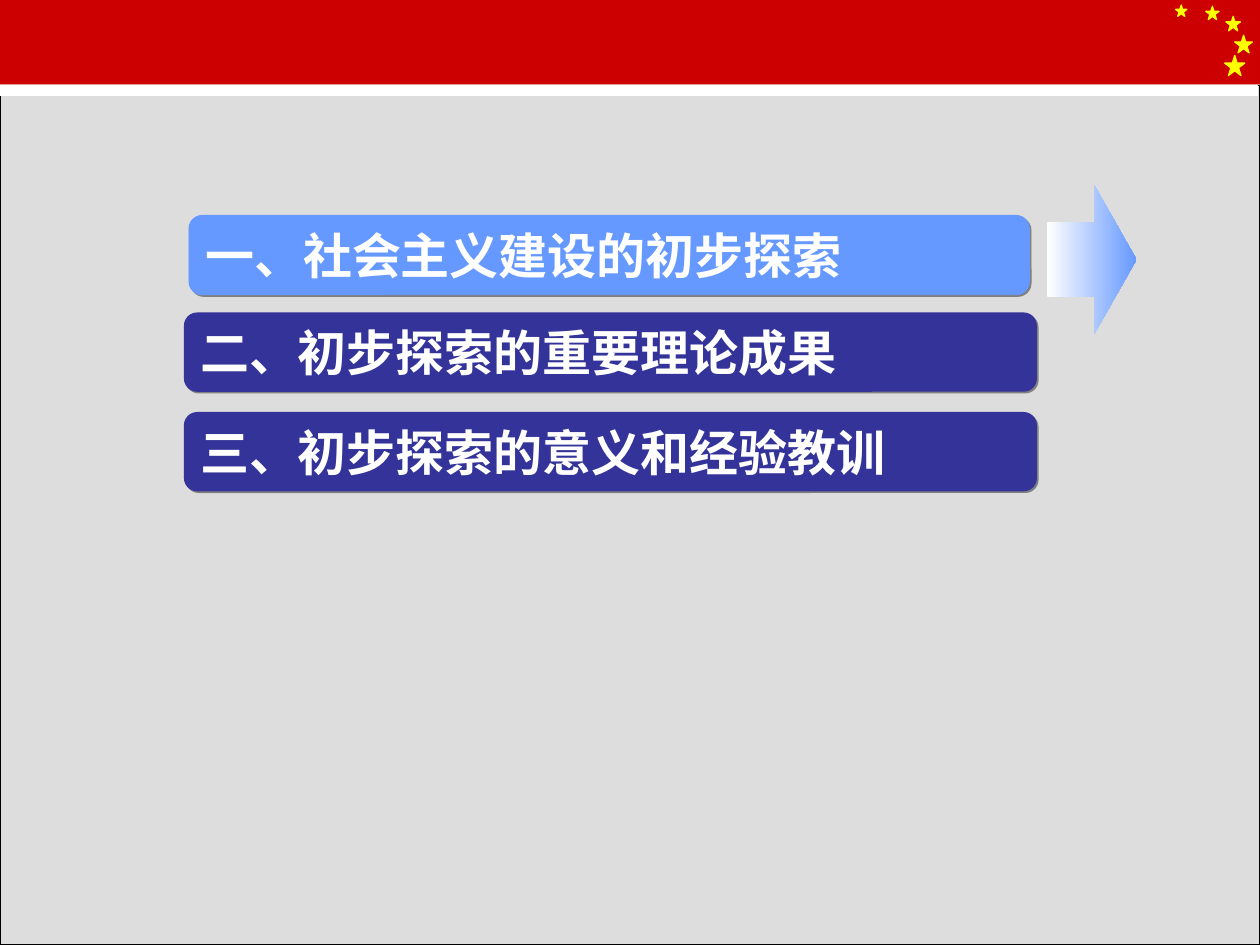
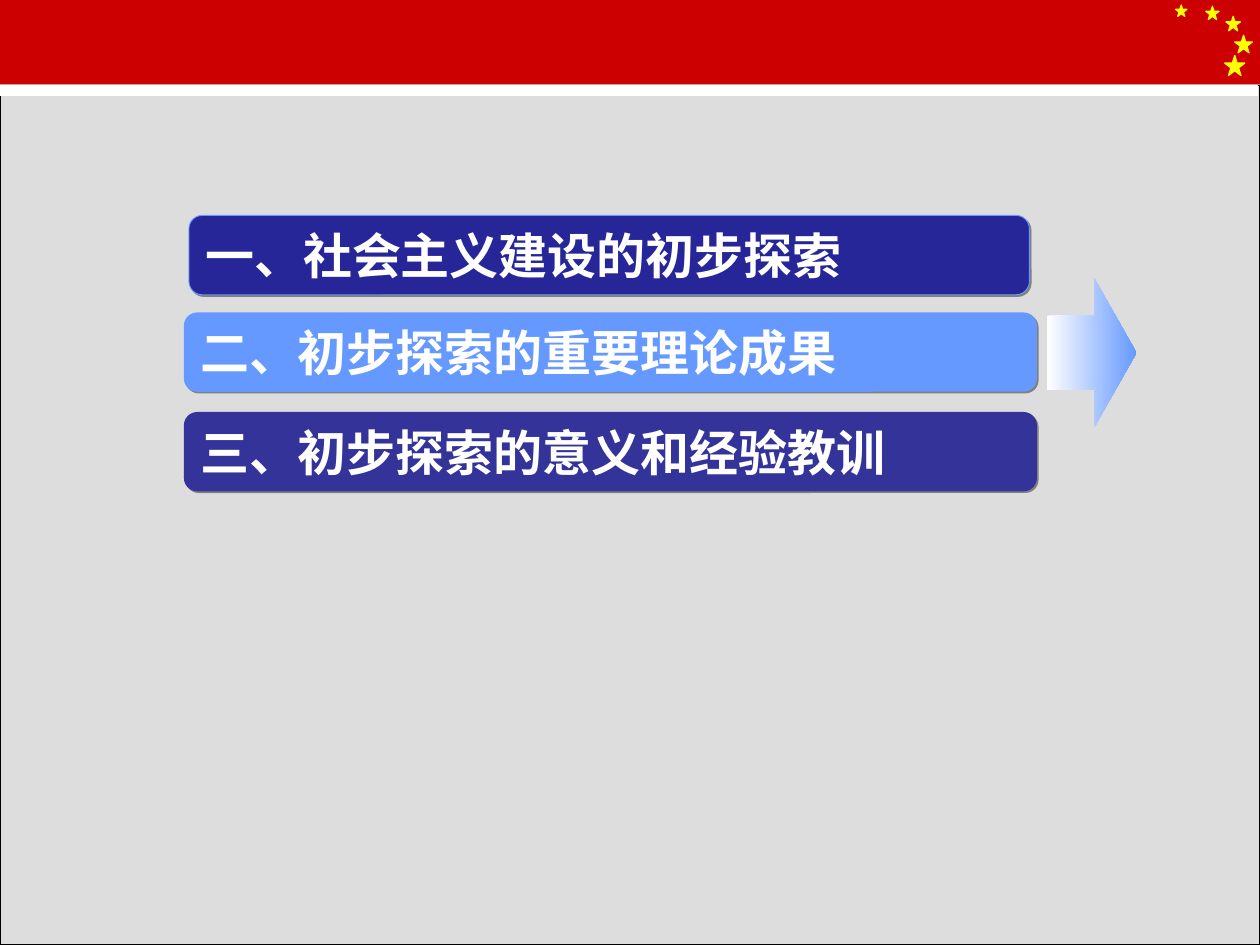
from lxml import etree
from pptx import Presentation
from pptx import util as u
from pptx.dml.color import RGBColor
from pptx.enum import shapes, text
from pptx.oxml.ns import qn

WHITE = RGBColor(0xFF, 0xFF, 0xFF)
BLACK = RGBColor(0x00, 0x00, 0x00)
PAPER = RGBColor(0xEA, 0xEA, 0xEA)
PANEL = RGBColor(0xDD, 0xDD, 0xDD)
RED = RGBColor(0xCC, 0x00, 0x00)
YELLOW = RGBColor(0xFF, 0xFF, 0x00)
LIGHT = RGBColor(0x66, 0x99, 0xFF)
INDIGO = RGBColor(0x33, 0x33, 0x99)
DEEP = RGBColor(0x26, 0x26, 0x99)
SHADE = RGBColor(0x80, 0x80, 0x80)

FONT = "Times New Roman"
COLS, ROWS = 100, 75
CELL = u.Inches(10) // COLS
KIND = shapes.MSO_SHAPE

STARS = [(97.2, 4.4, 1.6), (95.7, 0.5, 1.05), (93.3, 0.4, 0.9),
         (97.3, 1.3, 1.15), (98, 2.8, 1.4)]
TOPICS = [
    ("一、社会主义建设的初步探索", (15, 17.1, 66.7, 6.3), LIGHT),
    ("二、初步探索的重要理论成果", (14.6, 24.8, 67.7, 6.3), None),
    ("三、初步探索的意义和经验教训", (14.6, 32.7, 67.7, 6.3), None),
]
AGENDAS = [
    ((LIGHT, INDIGO, INDIGO), 14.7),
    ((DEEP, LIGHT, INDIGO), 22.1),
]


def add_block(slide, kind, box, fill=None, line=None, width=0.75):
    """Add a preset shape placed by grid columns and rows."""
    sp = slide.shapes.add_shape(kind, *(round(n * CELL) for n in box))
    sp.shadow.inherit = False
    if fill is not None:
        sp.fill.solid()
        sp.fill.fore_color.rgb = fill
    if line is None:
        sp.line.fill.background()
    else:
        sp.line.color.rgb = line
        sp.line.width = u.Pt(width)
    return sp


def add_shadow(sp, color=SHADE, distance=1.4, degrees=45):
    """Give a shape a hard offset shadow."""
    effects = sp._element.spPr.find(qn("a:effectLst"))
    shadow = etree.SubElement(effects, qn("a:outerShdw"), blurRad="0",
                              dist=str(u.Pt(distance)), dir=str(degrees * 60000),
                              algn="ctr", rotWithShape="0")
    etree.SubElement(shadow, qn("a:srgbClr"), val=str(color))


def write(sp, words, size=28, color=WHITE, bold=True, font=FONT):
    """Write one left-aligned line in the middle of a shape."""
    tf = sp.text_frame
    tf.word_wrap = True
    tf.auto_size = text.MSO_AUTO_SIZE.SHAPE_TO_FIT_TEXT
    tf.vertical_anchor = text.MSO_ANCHOR.MIDDLE
    p = tf.paragraphs[0]
    p.alignment = text.PP_ALIGN.LEFT
    r = p.add_run()
    r.text = words
    r.font.name = font
    r.font.size = u.Pt(size)
    r.font.bold = bold
    r.font.color.rgb = color


def add_frame(slide):
    """Draw the background, banner, stars and panel of every slide."""
    slide.background.fill.solid()
    slide.background.fill.fore_color.rgb = PAPER
    add_block(slide, KIND.RECTANGLE, (0, 0, COLS, 6.7), RED)
    for left, top, side in STARS:
        add_block(slide, KIND.STAR_5_POINT, (left, top, side, side), YELLOW, YELLOW)
    add_block(slide, KIND.RECTANGLE, (0, 6.8, COLS, ROWS - 6.8), PANEL, BLACK)
    add_block(slide, KIND.RECTANGLE, (0, 6.8, 99.8, 0.8), WHITE, WHITE)


def add_topic(slide, words, box, fill, line):
    """Add one rounded agenda bar."""
    sp = add_block(slide, KIND.ROUNDED_RECTANGLE, box, fill, line, 0.5)
    sp.adjustments[0] = 0.167
    add_shadow(sp)
    write(sp, words)


def add_pointer(slide, top):
    """Add the gradient arrow beside the current topic."""
    sp = add_block(slide, KIND.RIGHT_ARROW, (83.1, top, 7.1, 11.8))
    sp.adjustments[0] = 0.5
    sp.adjustments[1] = 0.471
    sp.fill.gradient()
    sp.fill.gradient_angle = 0
    for stop, color, place in zip(sp.fill.gradient_stops, (WHITE, LIGHT), (0, 1)):
        stop.color.rgb = color
        stop.position = place


def main():
    """Build the agenda slides."""
    prs = Presentation()
    prs.slide_width, prs.slide_height = COLS * CELL, ROWS * CELL
    for fills, pointer_top in AGENDAS:
        slide = prs.slides.add_slide(prs.slide_layouts[6])
        add_frame(slide)
        for (words, box, line), fill in zip(TOPICS, fills):
            add_topic(slide, words, box, fill, line)
        add_pointer(slide, pointer_top)
    prs.save("out.pptx")


if __name__ == "__main__":
    main()
